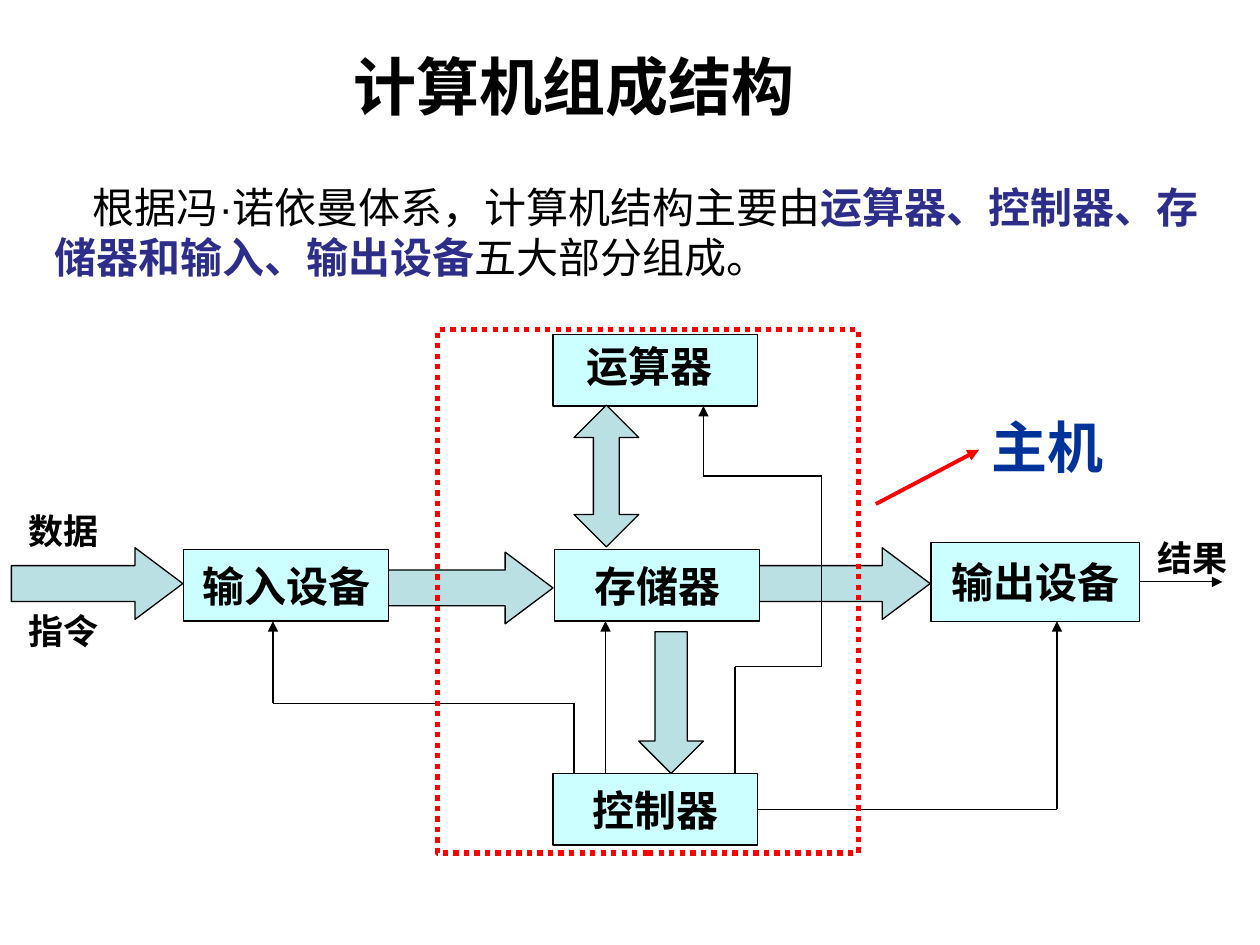
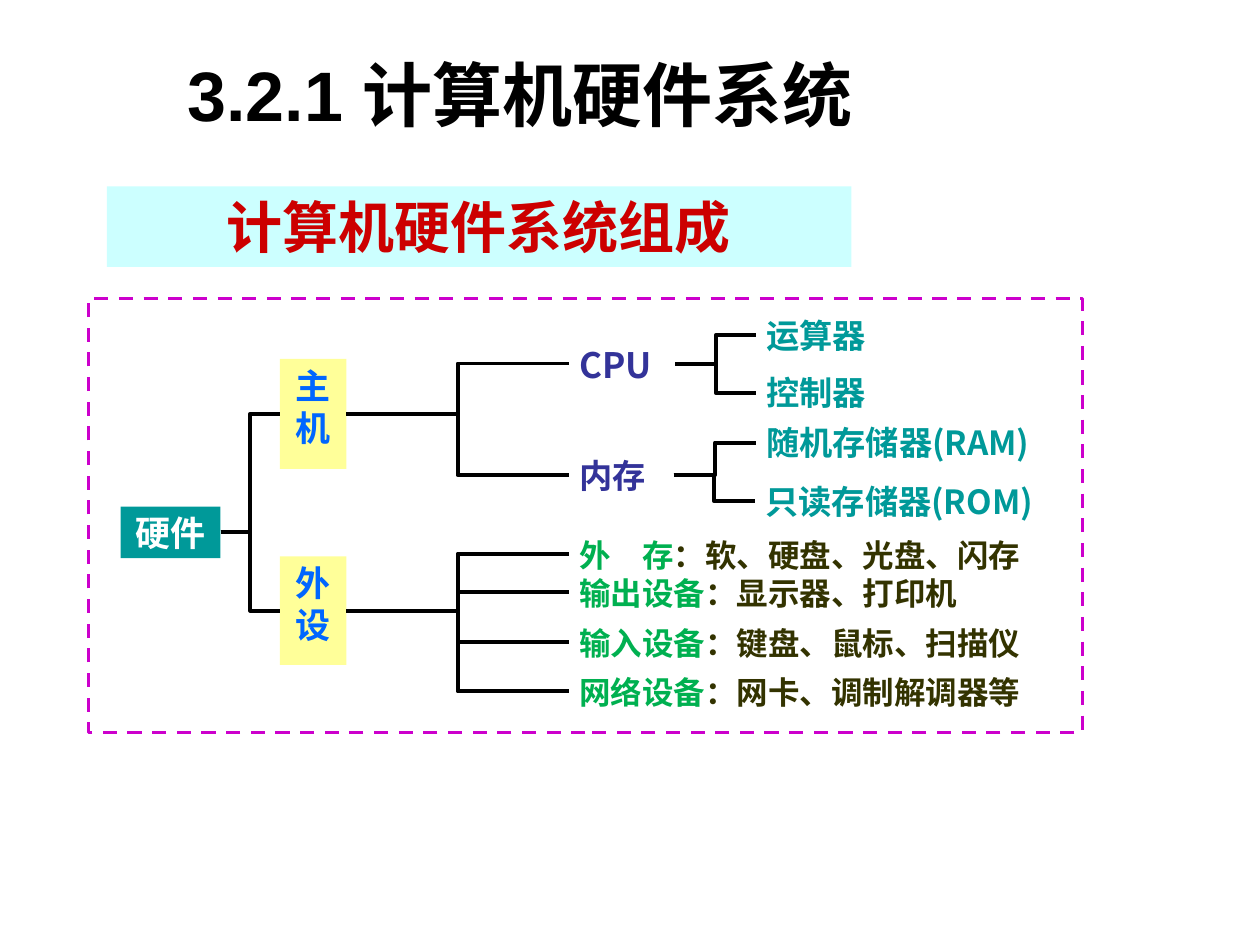
from itertools import pairwise

from lxml import etree
from pptx import Presentation
from pptx.dml.color import RGBColor
from pptx.enum.dml import MSO_LINE
from pptx.enum.shapes import MSO_CONNECTOR, MSO_SHAPE
from pptx.enum.text import MSO_ANCHOR, MSO_AUTO_SIZE, PP_ALIGN
from pptx.oxml.ns import qn
from pptx.util import Pt

RECT, RIGHT = MSO_SHAPE.RECTANGLE, MSO_SHAPE.RIGHT_ARROW
DOWN, UP_DOWN = MSO_SHAPE.DOWN_ARROW, MSO_SHAPE.UP_DOWN_ARROW
STRAIGHT, ELBOW = MSO_CONNECTOR.STRAIGHT, MSO_CONNECTOR.ELBOW
LEFT, CENTER = PP_ALIGN.LEFT, PP_ALIGN.CENTER
TOP, MIDDLE = MSO_ANCHOR.TOP, MSO_ANCHOR.MIDDLE
DOTTED, DASHED = MSO_LINE.ROUND_DOT, MSO_LINE.DASH
SIDE_LEFT, SIDE_RIGHT = 1, 3

# Shared look
CJK, ROMAN, SANS = "Noto Sans CJK SC", "Times New Roman", "Arial"
BLACK, WHITE, RED = "000000", "FFFFFF", "FF0000"
PALE_CYAN, ARROW_BLUE, TEAL = "CCFFFF", "BBE0E3", "009999"
NAVY, INDIGO, VIOLET = "003399", "2D2D8A", "333399"
YELLOW, BLUE, GREEN, OLIVE = "FFFF99", "0066FF", "00B050", "333300"
MAGENTA, CRIMSON = "CC00CC", "CC0000"
THIN = 0.75

# Slide 1: structure of a computer
STRUCTURE_TITLE = "计算机组成结构"
INTRO = [
    ("根据冯", {}),
    ("·", {"font": SANS, "ea": SANS}),
    ("诺依曼体系，计算机结构主要由", {}),
    ("运算器、控制器、存储器和输入、输出设备", {"color": INDIGO, "bold": True}),
    ("五大部分组成。", {}),
]
UNITS = {
    "输入设备": (105, 314, 117, 41),
    "存储器": (317, 314, 117, 41),
    "控制器": (316, 442, 117, 41),
    "输出设备": (532, 310, 119, 45),
}
ALU_BOX = (316, 191, 117, 41)
BLOCK_ARROWS = [
    (RIGHT, (6.5, 313, 98, 41), (0.5, 0.667)),
    (RIGHT, (218, 315.5, 98, 41), (0.5, 0.667)),
    (RIGHT, (433.5, 313, 98, 41), (0.5, 0.667)),
    (DOWN, (365, 361, 37, 81), (0.5, 0.5)),
    (UP_DOWN, (328, 231.5, 37, 81), (0.5, 0.4)),
]
# Control and result lines: unit they leave from its right side, corner points
SIGNALS = [
    (None, [(346, 442), (346, 355)]),
    (None, [(420, 442), (420, 381), (469.5, 381), (469.5, 272),
            (402, 272), (402, 232)]),
    (None, [(328, 442), (328, 402), (156, 402), (156, 355)]),
    ("控制器", [(433, 462.5), (604, 462.5), (604, 355)]),
    ("输出设备", [(651, 332.5), (698.5, 332.5)]),
]
FLOW_LABELS = {
    "数据": (9, 293, 55, 20),
    "指令": (9, 347, 55, 27),
    "结果": (663, 305, 37, 27),
}

# Slide 2: tree of the hardware system
HARDWARE_TITLE = "3.2.1 计算机硬件系统"
BANNER = "计算机硬件系统组成"
# name: (rectangle, size, colour, fill)
BRANCHES = {
    "硬件": ((69, 289.5, 57, 29.5), 20, WHITE, TEAL),
    "主机": ((160, 205, 38, 63), 20, BLUE, YELLOW),
    "外设": ((160, 318, 38, 62), 20, BLUE, YELLOW),
}
PARTS = {
    "CPU": ((325, 193, 61, 29.5), 20, VIOLET),
    "内存": ((325, 257, 60, 29), 19, VIOLET),
    "运算器": ((432, 177, 75, 29), 19, TEAL),
    "控制器": ((432, 210, 75, 29), 19, TEAL),
    "随机存储器(RAM)": ((432, 238.5, 174, 29), 19, TEAL),
    "只读存储器(ROM)": ((431.5, 272, 174, 29), 19, TEAL),
}
DEVICES = [
    ("外　存", "：软、硬盘、光盘、闪存", 303),
    ("输出设备", "：显示器、打印机", 325),
    ("输入设备", "：键盘、鼠标、扫描仪", 353.5),
    ("网络设备", "：网卡、调制解调器等", 381.5),
]
TREE = {
    "硬件": ["主机", "外设"],
    "主机": ["CPU", "内存"],
    "外设": [name for name, _, _ in DEVICES],
    "CPU": ["运算器", "控制器"],
    "内存": ["随机存储器(RAM)", "只读存储器(ROM)"],
}


def rgb(color):
    return RGBColor.from_string(color)


def pts(values):
    return [Pt(v) for v in values]


def add_run(p, text, size, color=BLACK, bold=True, font=CJK, ea=CJK):
    r = p.add_run()
    r.text = text
    r.font.size = Pt(size)
    r.font.bold = bold
    r.font.color.rgb = rgb(color)
    r.font.name = font
    latin = r.font._element.find(qn("a:latin"))
    east = etree.Element(qn("a:ea"), typeface=ea)
    latin.addnext(east)


def set_text(sp, runs, size, align=LEFT, anchor=TOP, wrap=True,
             insets=(7.2, 3.6), **style):
    """Fill a shape with one paragraph of (text, own style) runs."""
    tf = sp.text_frame
    tf.auto_size = MSO_AUTO_SIZE.NONE
    tf.word_wrap = wrap
    tf.vertical_anchor = anchor
    tf.margin_left = tf.margin_right = Pt(insets[0])
    tf.margin_top = tf.margin_bottom = Pt(insets[1])
    p = tf.paragraphs[0]
    p.alignment = align
    for text, own in runs:
        add_run(p, text, size, **{**style, **own})
    return p


def add_text(s, text, box, size, **style):
    sp = s.shapes.add_textbox(*pts(box))
    set_text(sp, [(text, {})], size, **style)
    return sp


def add_box(s, box, fill=None, line=None, width=THIN, dash=None, kind=RECT):
    sp = s.shapes.add_shape(kind, *pts(box))
    sp.shadow.inherit = False
    if fill:
        sp.fill.solid()
        sp.fill.fore_color.rgb = rgb(fill)
    else:
        sp.fill.background()
    if line:
        sp.line.color.rgb = rgb(line)
        sp.line.width = Pt(width)
        sp.line.dash_style = dash
    else:
        sp.line.fill.background()
    return sp


def add_line(s, start, end, color=BLACK, width=THIN, arrow=False, kind=STRAIGHT):
    line = s.shapes.add_connector(kind, *pts(start + end))
    line.line.color.rgb = rgb(color)
    line.line.width = Pt(width)
    sp_pr = line._element.spPr
    if arrow:
        etree.SubElement(sp_pr.find(qn("a:ln")), qn("a:tailEnd"), type="triangle")
    etree.SubElement(sp_pr, qn("a:effectLst"))
    return line


def add_slide(prs, title, box, size, font):
    s = prs.slides.add_slide(prs.slide_layouts[5])
    sp = s.shapes.title
    sp.left, sp.top, sp.width, sp.height = pts(box)
    set_text(sp, [(title, {})], size, align=CENTER, anchor=MIDDLE, font=font)
    return s


def build_structure(prs):
    s = add_slide(prs, STRUCTURE_TITLE, (25, 26, 606, 45), 36, CJK)

    # Introduction with a first-line indent
    intro = s.shapes.add_textbox(*pts((24, 100, 675, 66)))
    p = set_text(intro, INTRO, 24, bold=False)
    p._p.get_or_add_pPr().set("indent", str(Pt(22)))

    # Data flow and units
    add_box(s, ALU_BOX, PALE_CYAN, BLACK)
    for kind, box, adjustments in BLOCK_ARROWS:
        sp = add_box(s, box, ARROW_BLUE, BLACK, kind=kind)
        for i, value in enumerate(adjustments):
            sp.adjustments[i] = value
    add_text(s, "运算器", (328, 191, 92, 36), 24, font=ROMAN)
    centred = dict(align=CENTER, anchor=MIDDLE, wrap=False, font=ROMAN)
    units = {}
    for name, box in UNITS.items():
        units[name] = add_box(s, box, PALE_CYAN, BLACK)
        set_text(units[name], [(name, {})], 24, **centred)
    for name, box in FLOW_LABELS.items():
        add_text(s, name, box, 20, **centred)

    # Control signals, with an arrowhead on the last stretch
    for unit, points in SIGNALS:
        for i, (start, end) in enumerate(pairwise(points)):
            line = add_line(s, start, end, arrow=i == len(points) - 2)
            if unit and i == 0:
                line.begin_connect(units[unit], SIDE_RIGHT)

    # Host frame and its caption
    add_box(s, (250, 188.5, 240.5, 299), line=RED, width=3, dash=DOTTED)
    add_line(s, (500.5, 288), (559.5, 257), RED, 2.25, arrow=True)
    add_text(s, "主机", (559.5, 232, 82, 45), 32, color=NAVY, font=ROMAN)


def build_hardware(prs):
    s = add_slide(prs, HARDWARE_TITLE, (25, 26, 544, 55), 40, SANS)
    banner = add_box(s, (61, 106.5, 425.5, 46), PALE_CYAN)
    set_text(banner, [(BANNER, {})], 32, align=CENTER, color=CRIMSON, font=SANS)
    add_box(s, (50.5, 170.5, 568, 248), line=MAGENTA, width=2, dash=DASHED)

    # Tree nodes
    insets = (6, 3)
    nodes = {}
    for name, (box, size, color, fill) in BRANCHES.items():
        nodes[name] = add_box(s, box, fill)
        set_text(nodes[name], [(name, {})], size, align=CENTER,
                 insets=insets, color=color)
    for name, (box, size, color) in PARTS.items():
        nodes[name] = add_text(s, name, box, size, insets=insets, color=color)
    for name, examples, top in DEVICES:
        nodes[name] = s.shapes.add_textbox(*pts((325, top, 302, 27)))
        runs = [(name, {"color": GREEN}), (examples, {"color": OLIVE})]
        set_text(nodes[name], runs, 18, insets=insets)

    # Tree branches
    for parent, children in TREE.items():
        for child in children:
            line = add_line(s, (0, 0), (0, 0), width=2.25, kind=ELBOW)
            line.begin_connect(nodes[parent], SIDE_RIGHT)
            line.end_connect(nodes[child], SIDE_LEFT)


def main():
    prs = Presentation()
    prs.slide_width, prs.slide_height = Pt(720), Pt(540)
    build_structure(prs)
    build_hardware(prs)
    prs.save("out.pptx")


if __name__ == "__main__":
    main()
